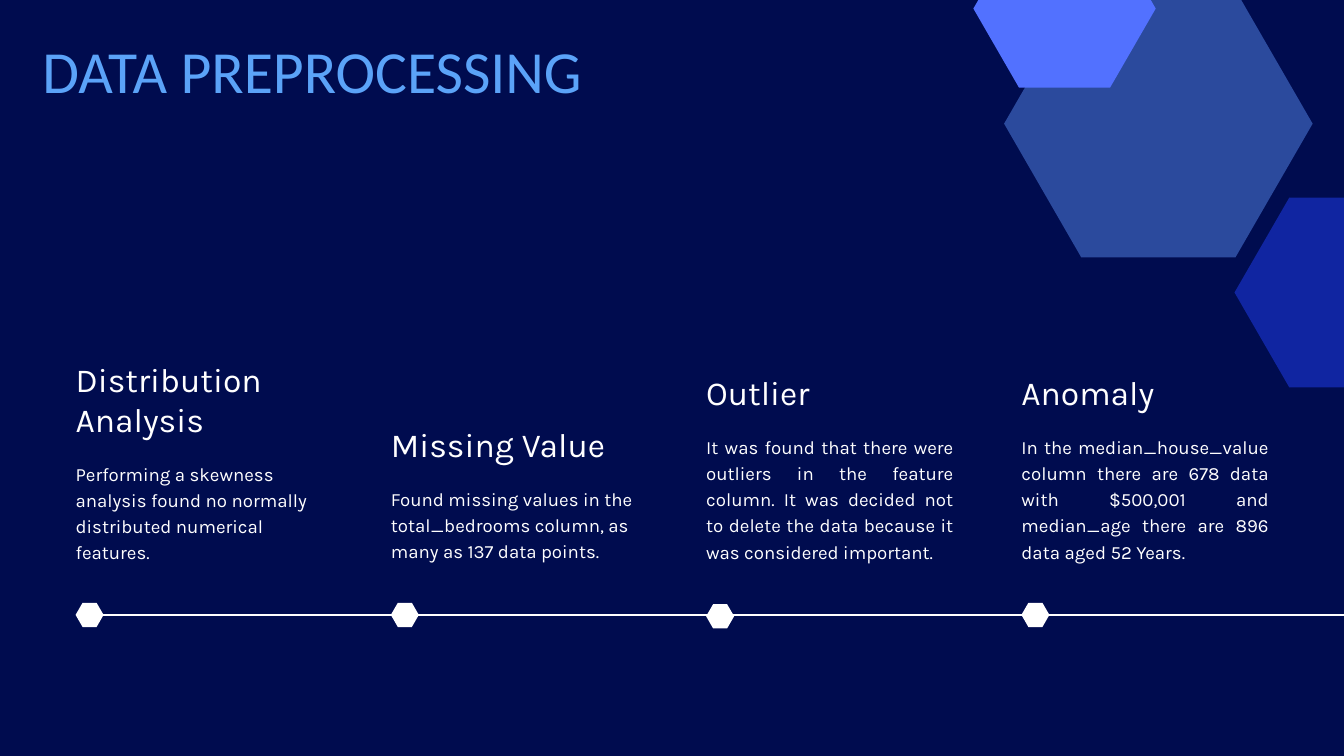
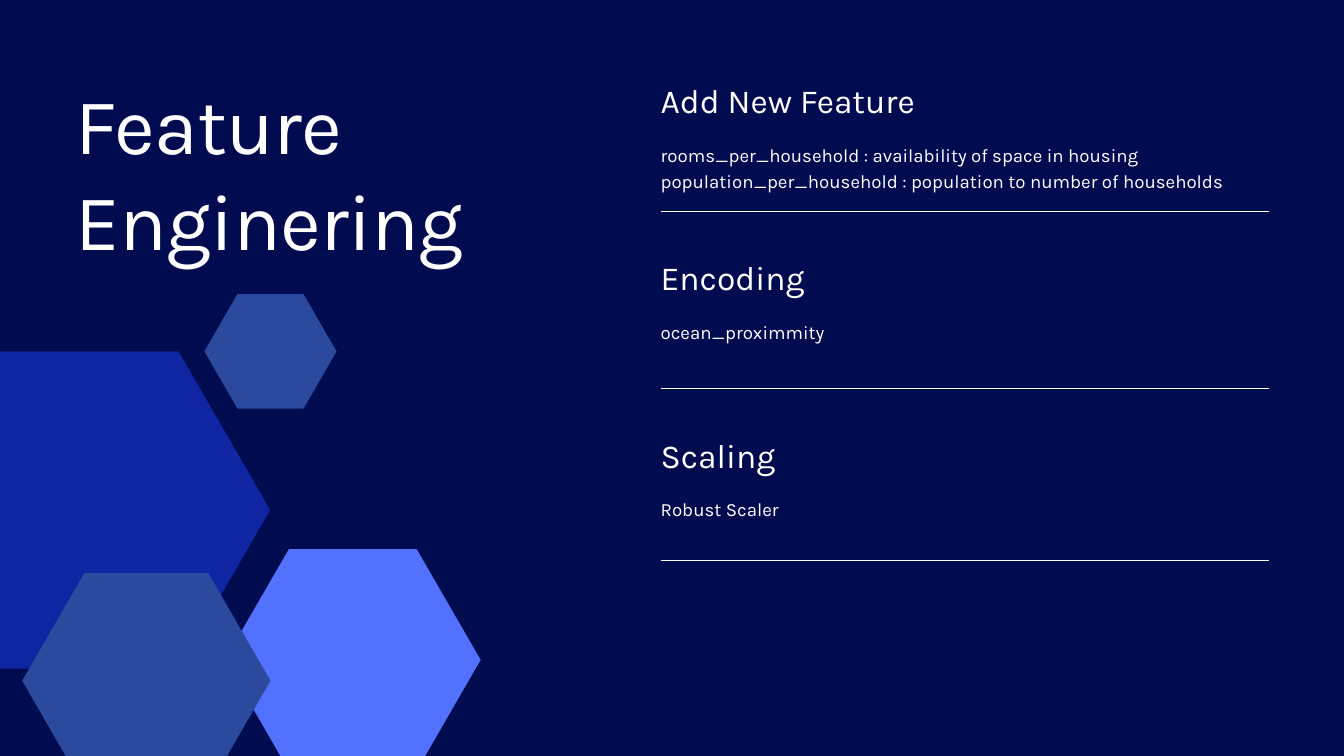
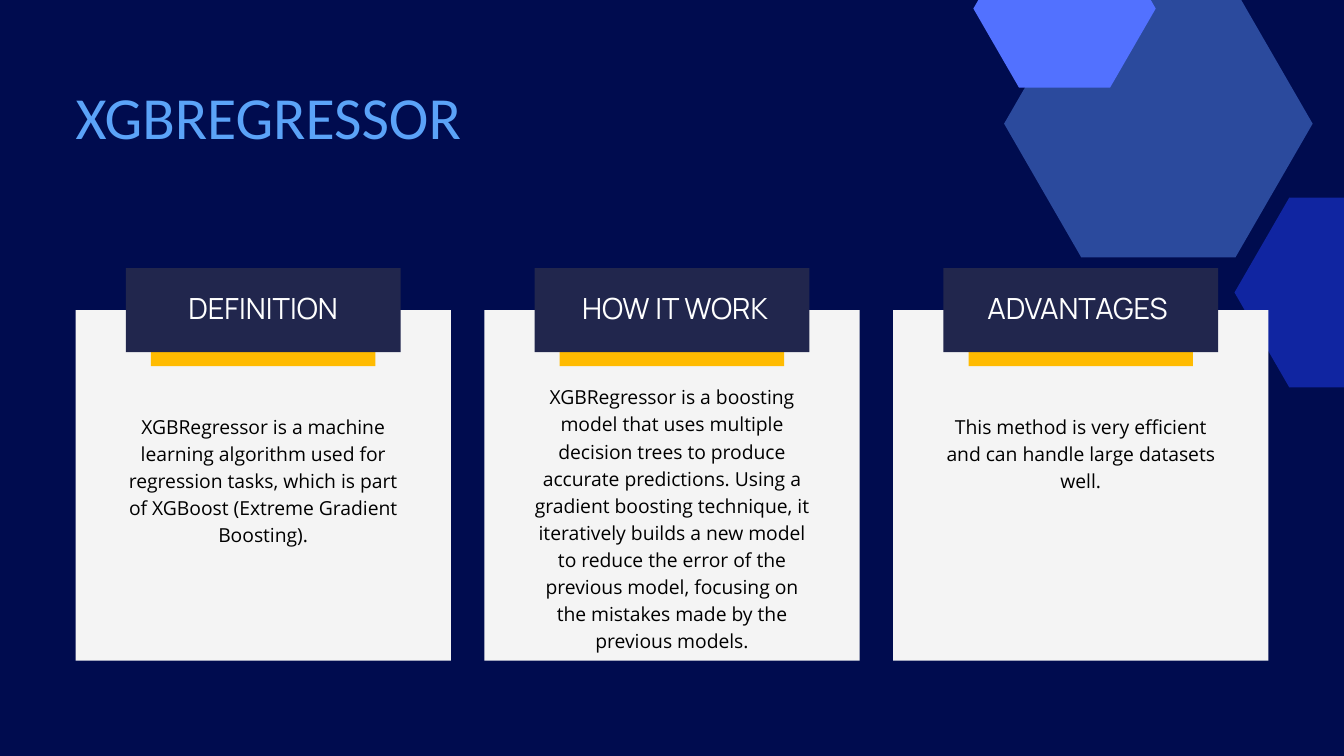
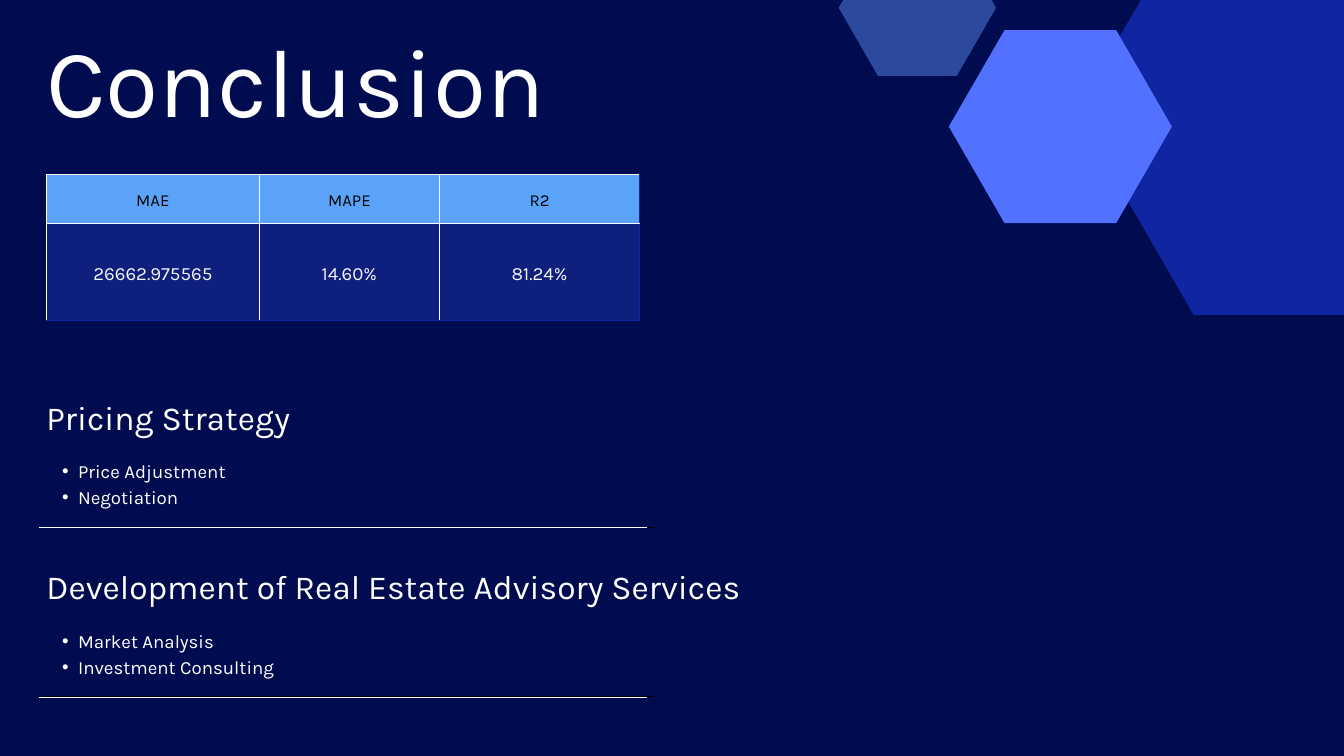
from dataclasses import dataclass
from typing import NamedTuple

from lxml.etree import SubElement
from pptx import Presentation
from pptx.dml.color import RGBColor
from pptx.enum.shapes import MSO_CONNECTOR, MSO_SHAPE
from pptx.enum.text import MSO_ANCHOR, MSO_AUTO_SIZE, PP_ALIGN
from pptx.oxml.ns import qn
from pptx.presentation import Presentation as Deck
from pptx.slide import Slide
from pptx.table import _Cell
from pptx.text.text import _Paragraph
from pptx.util import Pt

# Shared colours
NAVY = RGBColor(0x00, 0x0C, 0x4F)
ROYAL = RGBColor(0x10, 0x25, 0xA1)
STEEL = RGBColor(0x2B, 0x4A, 0x9D)
PERIWINKLE = RGBColor(0x52, 0x71, 0xFF)
SKY = RGBColor(0x5B, 0xA3, 0xF8)
INK = RGBColor(0x21, 0x26, 0x4D)
DEEP_BLUE = RGBColor(0x0F, 0x1F, 0x7D)
AMBER = RGBColor(0xFF, 0xBB, 0x01)
PALE = RGBColor(0xF4, 0xF4, 0xF4)
WHITE = RGBColor(0xFF, 0xFF, 0xFF)
BLACK = RGBColor(0x00, 0x00, 0x00)

SLIDE_WIDTH, SLIDE_HEIGHT = 1440, 810
MARGIN = 81
HEXAGON_RATIO = 0.866
HEADING_GAP = 20.8


@dataclass(frozen=True)
class TextStyle:
    font: str
    size: float
    colour: RGBColor
    leading: float
    align: PP_ALIGN = PP_ALIGN.LEFT
    tracking: float = 0


class Hexagon(NamedTuple):
    left: float
    top: float
    width: float
    colour: RGBColor


class Section(NamedTuple):
    """A heading with body text below it."""
    left: float
    top: float
    width: float
    heading: str
    body: list[str]
    body_height: float
    heading_lines: int = 1
    align: PP_ALIGN = PP_ALIGN.LEFT
    bulleted: bool = False


class Card(NamedTuple):
    label: str
    label_left: float
    label_width: float
    body: str
    body_top: float
    body_height: float


# Shared text styles
CAPS_TITLE = TextStyle("Calibri", 64, SKY, 64)
FEATURE_TITLE = TextStyle("Karla", 85, WHITE, 102, tracking=-0.8)
CONCLUSION_TITLE = TextStyle("Karla", 104, WHITE, 124.8)
HEADING = TextStyle("Karla", 36, WHITE, 43.2)
BODY = {align: TextStyle("Karla", 20, WHITE, 28, align)
        for align in (PP_ALIGN.LEFT, PP_ALIGN.JUSTIFY)}
CARD_LABEL = TextStyle("Manrope", 31.2, WHITE, 35.9, PP_ALIGN.CENTER)
CARD_BODY = TextStyle("Open Sans", 20.7, BLACK, 29, PP_ALIGN.CENTER)
TABLE_HEAD = TextStyle("Karla", 18, BLACK, 25.2, PP_ALIGN.CENTER)
TABLE_BODY = TextStyle("Karla", 20, PALE, 28, PP_ALIGN.CENTER)

CORNER_HEXAGONS = [
    Hexagon(1322.7, 211.8, 234.6, ROYAL),
    Hexagon(1075.8, -10.6, 330.6, STEEL),
    Hexagon(1042.9, -75.4, 195.4, PERIWINKLE),
]


# Drawing helpers
def add_page(deck: Deck) -> Slide:
    page = deck.slides.add_slide(deck.slide_layouts[6])
    page.background.fill.solid()
    page.background.fill.fore_color.rgb = NAVY
    return page


def style_paragraph(paragraph: _Paragraph, text: str, style: TextStyle,
                    bulleted: bool = False) -> None:
    span = paragraph.add_run()
    span.text = text
    if style.tracking:
        span._r.get_or_add_rPr().set("spc", str(round(style.tracking * 100)))
    paragraph.alignment = style.align
    paragraph.line_spacing = Pt(style.leading)
    if bulleted:
        properties = paragraph._p.get_or_add_pPr()
        properties.set("marL", str(Pt(34)))
        properties.set("indent", str(-Pt(17)))
        SubElement(properties, qn("a:buFont")).set("typeface", "Arial")
        SubElement(properties, qn("a:buChar")).set("char", "•")
    paragraph.font.name = style.font
    paragraph.font.size = Pt(style.size)
    paragraph.font.color.rgb = style.colour


def add_text(page: Slide, left: float, top: float, width: float, height: float,
             lines: list[str], style: TextStyle, bulleted: bool = False) -> None:
    box = page.shapes.add_textbox(Pt(left), Pt(top), Pt(width), Pt(height))
    frame = box.text_frame
    frame.word_wrap = True
    frame.auto_size = MSO_AUTO_SIZE.SHAPE_TO_FIT_TEXT
    frame.margin_left = frame.margin_right = 0
    frame.margin_top = frame.margin_bottom = 0
    for index, line in enumerate(lines):
        paragraph = frame.add_paragraph() if index else frame.paragraphs[0]
        style_paragraph(paragraph, line, style, bulleted)


def add_section(page: Slide, section: Section) -> None:
    heading_height = section.heading_lines * HEADING.leading
    add_text(page, section.left, section.top, section.width, heading_height,
             [section.heading], HEADING)
    add_text(page, section.left, section.top + heading_height + HEADING_GAP,
             section.width, section.body_height, section.body,
             BODY[section.align], section.bulleted)


def add_hexagon(page: Slide, hexagon: Hexagon) -> None:
    left, top, width, colour = hexagon
    half = width * HEXAGON_RATIO / 2
    corners = [(Pt(left + width * across), Pt(top + half * down))
               for across, down in ((0, 1), (0.25, 0), (0.75, 0),
                                    (1, 1), (0.75, 2), (0.25, 2))]
    builder = page.shapes.build_freeform(*corners[0], scale=1.0)
    builder.add_line_segments(corners[1:], close=True)
    shape = builder.convert_to_shape()
    shape.shadow.inherit = False
    shape.fill.solid()
    shape.fill.fore_color.rgb = colour
    shape.line.fill.background()


def add_hexagons(page: Slide, hexagons: list[Hexagon]) -> None:
    for hexagon in hexagons:
        add_hexagon(page, hexagon)


def add_panel(page: Slide, left: float, top: float, width: float,
              height: float, colour: RGBColor) -> None:
    panel = page.shapes.add_shape(MSO_SHAPE.RECTANGLE, Pt(left), Pt(top),
                                  Pt(width), Pt(height))
    panel.shadow.inherit = False
    panel.fill.solid()
    panel.fill.fore_color.rgb = colour
    panel.line.fill.background()


def add_rule(page: Slide, left: float, right: float, y: float,
             colour: RGBColor = WHITE, weight: float = 0.75) -> None:
    rule = page.shapes.add_connector(MSO_CONNECTOR.STRAIGHT, Pt(left), Pt(y),
                                     Pt(right), Pt(y))
    rule.line.color.rgb = colour
    rule.line.width = Pt(weight)
    SubElement(rule._element.spPr, qn("a:effectLst"))


def style_cell(cell: _Cell, text: str, style: TextStyle, fill: RGBColor) -> None:
    properties = cell._tc.get_or_add_tcPr()
    for side in ("a:lnR", "a:lnB"):
        border = SubElement(properties, qn(side))
        border.set("w", str(Pt(0.75)))
        paint = SubElement(border, qn("a:solidFill"))
        SubElement(paint, qn("a:srgbClr")).set("val", str(ROYAL))
    cell.fill.solid()
    cell.fill.fore_color.rgb = fill
    cell.vertical_anchor = MSO_ANCHOR.MIDDLE
    cell.margin_left = cell.margin_right = Pt(9.5)
    cell.margin_top = cell.margin_bottom = Pt(9.5)
    style_paragraph(cell.text_frame.paragraphs[0], text, style)


# Slides
def build_preprocessing(deck: Deck) -> None:
    page = add_page(deck)
    pitch, width, axis, marker = 337.8, 265, 658.8, 30
    columns = [MARGIN + pitch * index for index in range(4)]
    add_rule(page, 100, SLIDE_WIDTH, axis, weight=1.5)
    sections = [
        Section(columns[0], 384.5, width, "Distribution Analysis",
                ["Performing a skewness analysis found no normally distributed "
                 "numerical features."], 109.4, heading_lines=2),
        Section(columns[1], 454.3, width, "Missing Value",
                ["Found missing values in the total_bedrooms column, as many as "
                 "137 data points."], 82),
        Section(columns[2], 398.9, width, "Outlier",
                ["It was found that there were outliers in the feature column. It "
                 "was decided not to delete the data because it was considered "
                 "important."], 137.5, align=PP_ALIGN.JUSTIFY),
        Section(columns[3], 398.9, width, "Anomaly",
                ["In the median_house_value column there are 678 data with "
                 "$500,001 and median_age there are 896 data aged 52 Years."],
                137.5, align=PP_ALIGN.JUSTIFY),
    ]
    for section in sections:
        add_section(page, section)
    for left, drop in zip(columns, (0, 0, 1.5, 0)):
        top = axis - marker * HEXAGON_RATIO / 2 + drop
        add_hexagon(page, Hexagon(left, top, marker, WHITE))
    add_hexagons(page, CORNER_HEXAGONS)
    add_text(page, 45.5, 49, 1095, 136, ["DATA PREPROCESSING"], CAPS_TITLE)


def build_feature_engineering(deck: Deck) -> None:
    page = add_page(deck)
    left, width = 707.8, 651.4
    add_text(page, MARGIN, MARGIN, 434, 202, ["Feature Enginering"], FEATURE_TITLE)
    add_hexagons(page, [
        Hexagon(-103, 376.5, 392.4, ROYAL),
        Hexagon(241, 588.4, 274, PERIWINKLE),
        Hexagon(219, 315.2, 141.6, STEEL),
        Hexagon(23.8, 614.2, 266, STEEL),
    ])
    steps = [
        ("Add New Feature",
         ["rooms_per_household : availability of space in housing",
          "population_per_household : population to number of households"], 82),
        ("Encoding", ["ocean_proximmity"], 26.6),
        ("Scaling", ["Robust Scaler"], 26.6),
    ]
    for index, (heading, body, height) in enumerate(steps):
        add_section(page, Section(left, 86 + 189.8 * index, width,
                                  heading, body, height))
    for y in (226, 415.8, 600.4):
        add_rule(page, left, left + width, y)


def build_regressor(deck: Deck) -> None:
    page = add_page(deck)
    card_width, pitch = 402, 438
    add_hexagons(page, CORNER_HEXAGONS)
    add_text(page, MARGIN, 98.6, 792, 72, ["XGBREGRESSOR"], CAPS_TITLE)
    cards = [
        Card("DEFINITION", 182.2, 199.4,
             "XGBRegressor is a machine learning algorithm used for regression "
             "tasks, which is part of XGBoost (Extreme Gradient Boosting).",
             440.6, 140.4),
        Card("HOW IT WORK", 606.2, 234,
             "XGBRegressor is a boosting model that uses multiple decision trees "
             "to produce accurate predictions. Using a gradient boosting "
             "technique, it iteratively builds a new model to reduce the error "
             "of the previous model, focusing on the mistakes made by the "
             "previous models.", 409, 283),
        Card("ADVANTAGES", 1031, 247,
             "This method is very efficient and can handle large datasets well.",
             440.6, 83.5),
    ]
    centres = [MARGIN + card_width / 2 + pitch * index
               for index in range(len(cards))]
    # Sheets, then accents, then label plates
    for width, top, height, colour in ((card_width, 332.4, 375.6, PALE),
                                       (240.5, 302.4, 90, AMBER),
                                       (294.5, 287.3, 90, INK)):
        for centre in centres:
            add_panel(page, centre - width / 2, top, width, height, colour)
    body_width = 305.3
    for centre, card in zip(centres, cards):
        add_text(page, centre - body_width / 2, card.body_top, body_width,
                 card.body_height, [card.body], CARD_BODY)
        add_text(page, card.label_left, 312.5, card.label_width, 39,
                 [card.label], CARD_LABEL)


def build_conclusion(deck: Deck) -> None:
    page = add_page(deck)
    left = 49.7
    add_text(page, left, 22.3, 1162.8, 124.6, ["Conclusion"], CONCLUSION_TITLE)

    # Score table
    column_widths, row_heights = (228.2, 193, 214.6), (52, 104.4)
    rows = [
        (("MAE", "MAPE", "R2"), TABLE_HEAD, SKY),
        (("26662.975565", "14.60%", "81.24%"), TABLE_BODY, DEEP_BLUE),
    ]
    table = page.shapes.add_table(
        len(rows), len(column_widths), Pt(left), Pt(187.2),
        Pt(sum(column_widths)), Pt(sum(row_heights))).table
    table.first_row = table.horz_banding = False
    for column, width in zip(table.columns, column_widths):
        column.width = Pt(width)
    for row, height, (values, style, fill) in zip(table.rows, row_heights, rows):
        row.height = Pt(height)
        for cell, value in zip(row.cells, values):
            style_cell(cell, value, style, fill)

    add_hexagons(page, [
        Hexagon(1153.2, -98, 502.6, ROYAL),
        Hexagon(1016.6, 32.2, 239, PERIWINKLE),
        Hexagon(898.6, -64.6, 168.6, STEEL),
    ])

    # Recommendations, each closed by a double rule
    recommendations = [
        (424.8, 651.4, 565.4, "Pricing Strategy",
         ["Price Adjustment", "Negotiation"]),
        (606.4, 803.5, 746.8, "Development of Real Estate Advisory Services",
         ["Market Analysis", "Investment Consulting"]),
    ]
    for top, width, rule_y, heading, body in recommendations:
        add_section(page, Section(left, top, width, heading, body, 54,
                                  bulleted=True))
        add_rule(page, left, 700.8, rule_y - 0.5, BLACK)
        add_rule(page, 41.8, 693.2, rule_y)


def main() -> None:
    deck = Presentation()
    deck.slide_width, deck.slide_height = Pt(SLIDE_WIDTH), Pt(SLIDE_HEIGHT)
    build_preprocessing(deck)
    build_feature_engineering(deck)
    build_regressor(deck)
    build_conclusion(deck)
    deck.save("out.pptx")


if __name__ == "__main__":
    main()
